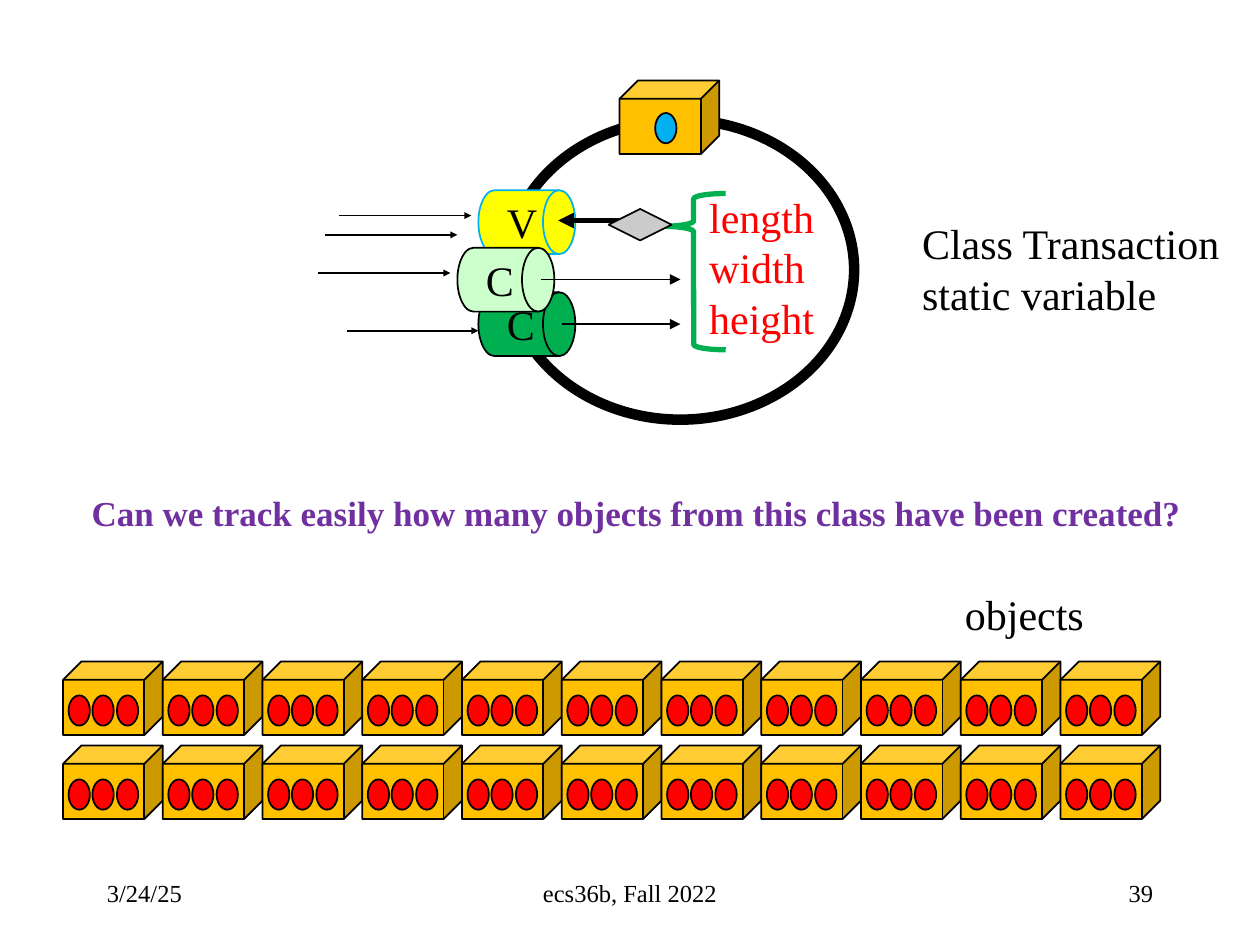
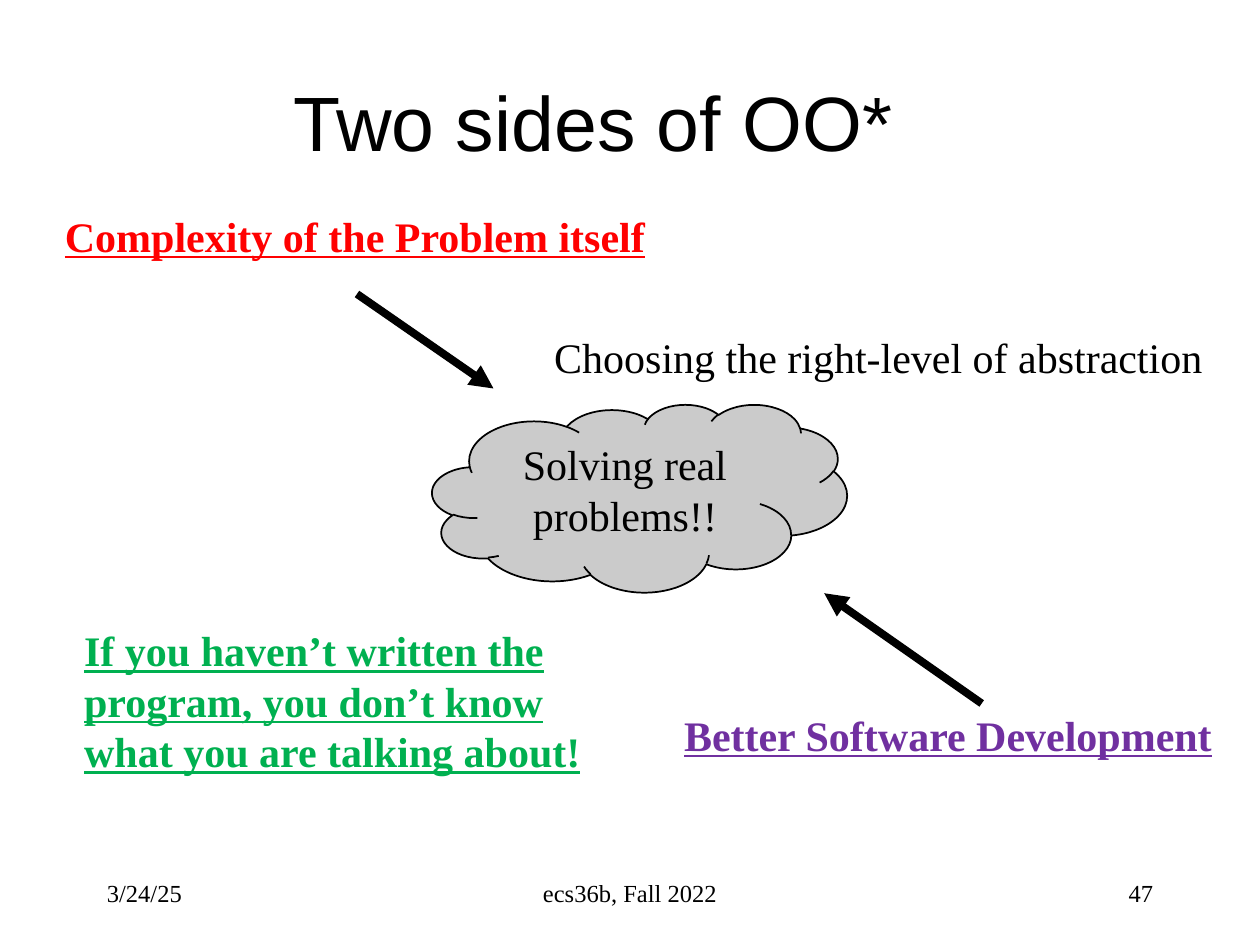
from itertools import product

from pptx import Presentation
from pptx.dml.color import RGBColor
from pptx.enum.shapes import MSO_CONNECTOR as Connector, MSO_SHAPE as Preset
from pptx.enum.text import MSO_ANCHOR as Anchor, MSO_AUTO_SIZE as AutoSize, PP_ALIGN as Align
from pptx.oxml.ns import qn
from pptx.util import Pt

BLACK, RED, GREEN, PURPLE = "000000", "FF0000", "00B050", "7030A0"
AMBER, GRAY, BLUE, YELLOW, MINT = "FFC000", "CBCBCB", "00B0F0", "FFFF00", "CCFFCC"
SERIF, SANS = "Times New Roman", "Arial"
CUBE_WIDTH, CUBE_HEIGHT = 57, 42
DOT_WIDTH, DOT_HEIGHT = 12.2, 17.3
DOT_TOP = 19.4
DOT_OFFSETS = (3.2, 16.8, 30.8)


def rgb(color):
    return RGBColor.from_string(color)


def write(frame, lines, size=24, color=BLACK, bold=False, underline=False,
          align=Align.LEFT, font=SERIF):
    for index, line in enumerate(lines):
        paragraph = frame.add_paragraph() if index else frame.paragraphs[0]
        paragraph.alignment = align
        run = paragraph.add_run()
        run.text = line
        run.font.name = font
        run.font.size = Pt(size)
        run.font.bold = bold
        run.font.underline = underline
        run.font.color.rgb = rgb(color)


def add_text(slide, left, top, width, height, *lines, wrap=False, **style):
    box = slide.shapes.add_textbox(Pt(left), Pt(top), Pt(width), Pt(height))
    frame = box.text_frame
    frame.word_wrap = wrap
    frame.auto_size = AutoSize.SHAPE_TO_FIT_TEXT
    write(frame, lines, **style)


def add_preset(slide, preset, left, top, width, height, fill=None, line=BLACK, weight=1):
    shape = slide.shapes.add_shape(preset, Pt(left), Pt(top), Pt(width), Pt(height))
    shape.shadow.inherit = False
    if fill:
        shape.fill.solid()
        shape.fill.fore_color.rgb = rgb(fill)
    else:
        shape.fill.background()
    shape.line.color.rgb = rgb(line)
    shape.line.width = Pt(weight)
    return shape


def add_drum(slide, left, top, letter, fill, line=BLACK):
    drum = add_preset(slide, Preset.FLOWCHART_DIRECT_ACCESS_STORAGE,
                      left, top, 55.4, 36.5, fill, line)
    drum.text_frame.word_wrap = False
    drum.text_frame.vertical_anchor = Anchor.MIDDLE
    write(drum.text_frame, [letter])


def add_cube(slide, left, top):
    cube = add_preset(slide, Preset.CUBE, left, top, CUBE_WIDTH, CUBE_HEIGHT, AMBER)
    cube.adjustments[0] = 0.25


def add_dot(slide, left, top, fill):
    add_preset(slide, Preset.OVAL, left, top, DOT_WIDTH, DOT_HEIGHT, fill)


def add_object(slide, left, top):
    add_cube(slide, left, top)
    for offset in DOT_OFFSETS:
        add_dot(slide, left + offset, top + DOT_TOP, RED)


def add_arrow(slide, x1, y1, x2, y2, weight=1, head="med"):
    arrow = slide.shapes.add_connector(Connector.STRAIGHT, Pt(x1), Pt(y1), Pt(x2), Pt(y2))
    arrow.line.color.rgb = rgb(BLACK)
    arrow.line.width = Pt(weight)
    properties = arrow.line._get_or_add_ln()
    tail = properties.makeelement(qn("a:tailEnd"), {"type": "triangle", "w": head, "len": head})
    properties.append(tail)
    outline = arrow._element.spPr
    outline.append(outline.makeelement(qn("a:effectLst"), {}))


def add_footers(slide, number):
    for left, width, text, align in (
        (54, 150, "3/24/25", Align.LEFT),
        (246, 228, "ecs36b, Fall 2022", Align.CENTER),
        (516, 150, number, Align.RIGHT),
    ):
        box = slide.shapes.add_textbox(Pt(left), Pt(492), Pt(width), Pt(36))
        box.text_frame.word_wrap = True
        box.text_frame.vertical_anchor = Anchor.MIDDLE
        write(box.text_frame, [text], size=14, align=align)


def add_title(slide, text):
    title = slide.shapes.title
    title.left, title.top, title.width, title.height = Pt(90), Pt(24), Pt(498), Pt(90)
    title.text_frame.vertical_anchor = Anchor.MIDDLE
    write(title.text_frame, [text], size=44, align=Align.CENTER, font=SANS)


def build_static_variable(presentation):
    slide = presentation.slides.add_slide(presentation.slide_layouts[6])
    add_preset(slide, Preset.OVAL, 289.4, 68.4, 198.7, 171.4, weight=6)
    add_drum(slide, 273.4, 108.7, "V", YELLOW, BLUE)
    add_drum(slide, 273.4, 167, "C", GREEN)
    add_drum(slide, 261.4, 141.6, "C", MINT)
    for left, top in ((193.9, 123.2), (186, 134.2), (182, 156), (198, 189)):
        add_arrow(slide, left, top, left + 75.4, top, head="sm")
    add_arrow(slide, 371, 126, 319, 126, weight=3)
    add_arrow(slide, 309, 159.7, 388.8, 159.7)
    add_arrow(slide, 321, 185.2, 388.8, 185.2)
    add_text(slide, 398.2, 105.8, 74.9, 94.3, "length", "width", "height", color=RED)
    add_cube(slide, 354, 46)
    brace = add_preset(slide, Preset.LEFT_BRACE, 378, 110.6, 36.7, 89.3,
                       line=GREEN, weight=3)
    brace.adjustments[0] = 0.083
    brace.adjustments[1] = 0.21
    add_preset(slide, Preset.DIAMOND, 347.8, 119.4, 36, 18, GRAY)
    add_text(slide, 519.8, 121, 185.8, 65.5, "Class Transaction", "static variable")
    add_text(slide, 544.3, 332.6, 82.8, 36.7, "objects")
    add_text(slide, 45.2, 277.2, 641.5, 31.7,
             "Can we track easily how many objects from this class have been created?",
             size=20, color=PURPLE, bold=True)
    for row, column in product(range(2), range(11)):
        add_object(slide, 36 + column * CUBE_WIDTH, 378 + row * 48)
    add_dot(slide, 374.4, 64.6, BLUE)
    add_footers(slide, "39")


def build_two_sides(presentation):
    slide = presentation.slides.add_slide(presentation.slide_layouts[5])
    add_title(slide, "Two sides of OO*")
    add_footers(slide, "47")
    emphasis = {"bold": True, "underline": True}
    add_text(slide, 383.8, 401.8, 319, 36.7, "Better Software Development",
             color=PURPLE, **emphasis)
    add_text(slide, 30, 116.8, 349.2, 36.7, "Complexity of the Problem itself",
             color=RED, **emphasis)
    add_arrow(slide, 204, 168, 282, 222, weight=4.5)
    add_arrow(slide, 561, 402, 471, 339, weight=4.5)
    cloud = add_preset(slide, Preset.CLOUD, 247, 231, 237, 107.3, GRAY)
    cloud.text_frame.word_wrap = True
    cloud.text_frame.vertical_anchor = Anchor.TOP
    write(cloud.text_frame, ["Solving real problems!!"], align=Align.CENTER)
    add_text(slide, 309.6, 185.8, 388, 36.7, "Choosing the right-level of abstraction")
    add_text(slide, 41, 353.5, 299.5, 94.3,
             "If you haven’t written the program, you don’t know what you are talking about!",
             wrap=True, color=GREEN, **emphasis)


def main():
    presentation = Presentation()
    presentation.slide_width, presentation.slide_height = Pt(720), Pt(540)
    build_static_variable(presentation)
    build_two_sides(presentation)
    presentation.save("out.pptx")


if __name__ == "__main__":
    main()
